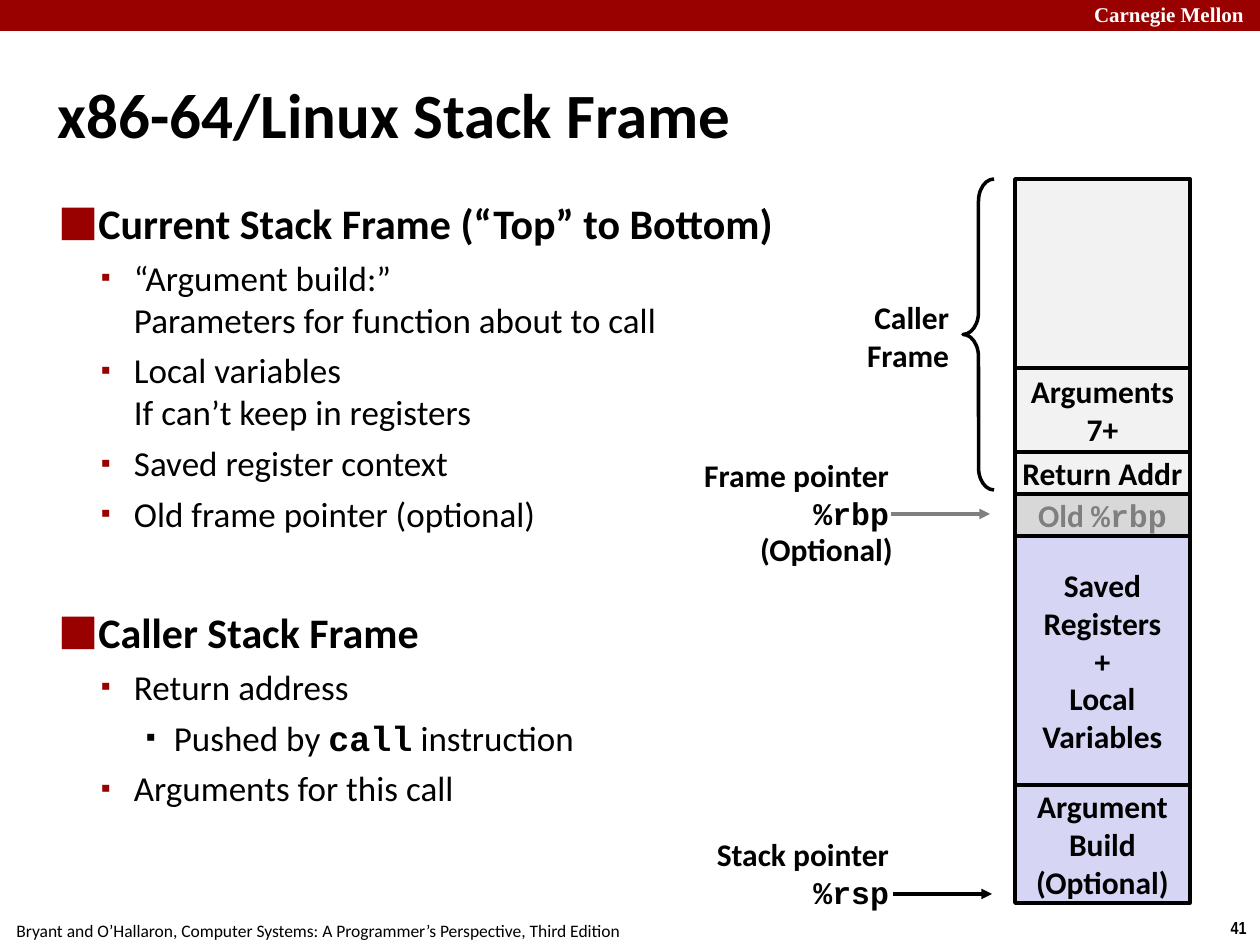
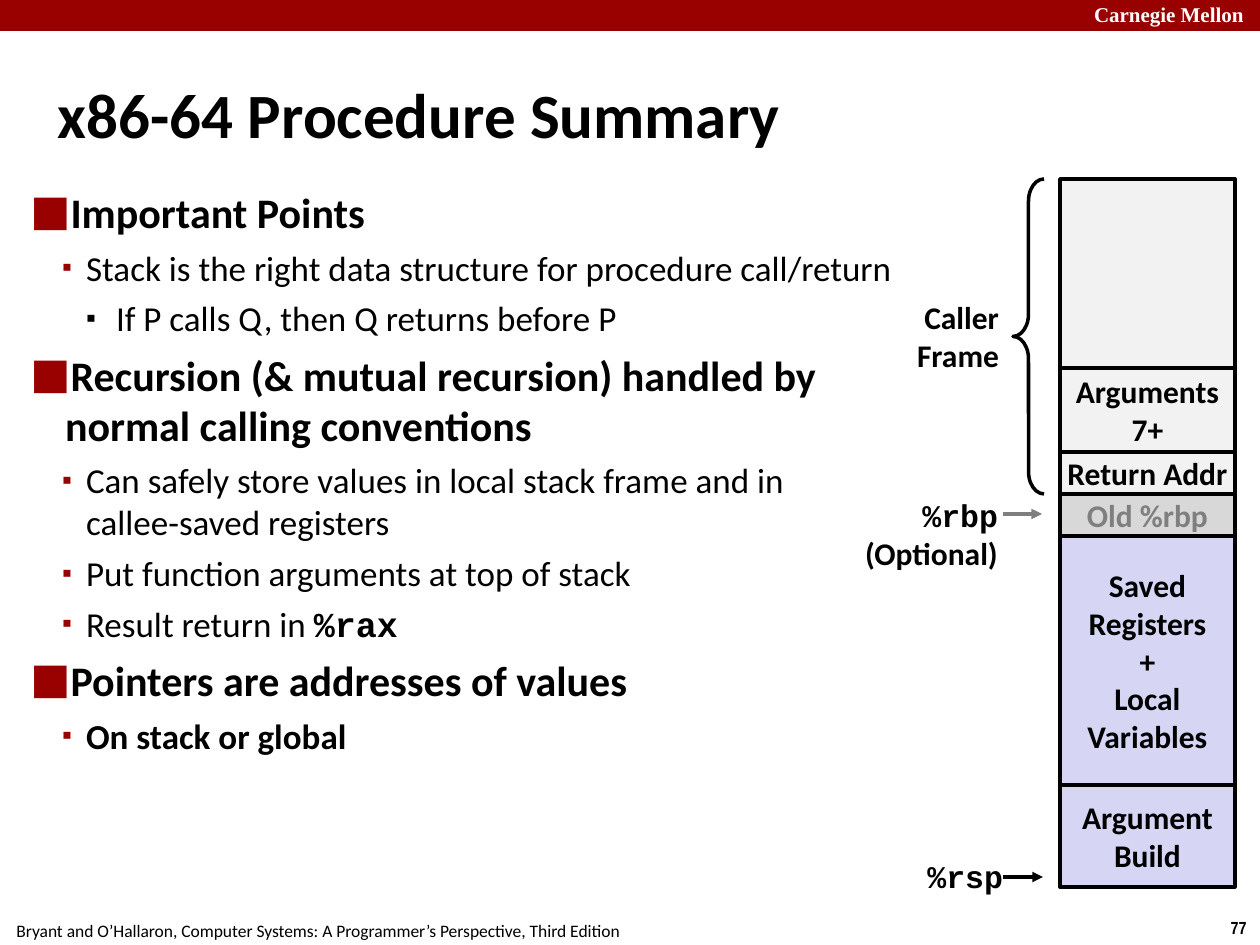
from dataclasses import dataclass

from lxml.etree import SubElement
from pptx import Presentation
from pptx.dml.color import RGBColor
from pptx.enum.shapes import MSO_CONNECTOR as Connector, MSO_SHAPE as Shape
from pptx.enum.text import MSO_ANCHOR as Anchor, PP_ALIGN as Align
from pptx.oxml.ns import qn
from pptx.util import Emu, Pt

PX = 914400 / 126


@dataclass(frozen=True)
class Theme:
    red: str = "990000"
    black: str = "000000"
    white: str = "FFFFFF"
    muted: str = "7F7F7F"
    caller: str = "F2F2F2"
    old_pointer: str = "D8D8D8"
    current: str = "D6D6F4"
    font: str = "Calibri"
    code_font: str = "Courier New"
    brand_font: str = "Times New Roman"
    bullet_font: str = "Times New Roman"
    number_font: str = "Arial Narrow"
    title: int = 36
    heading: int = 24
    body: int = 20
    diagram: int = 18
    brand: int = 12
    small: int = 10
    line: int = 2
    heading_bullet: int = 160
    body_bullet: int = 80


THEME = Theme()


def px(length):
    return Emu(round(length * PX))


def box_emu(box):
    return [px(length) for length in box]


def color(value):
    return RGBColor.from_string(value)


# Text: backticks mark code, a line feed marks a line break
def add_runs(paragraph, text, size, ink, bold, font):
    for part, segment in enumerate(text.split("`")):
        is_code = part % 2 == 1
        for row, line in enumerate(segment.split("\n")):
            if row:
                paragraph.add_line_break()
            if not line:
                continue
            run = paragraph.add_run()
            run.text = line
            run.font.size = Pt(size)
            run.font.bold = bold or is_code
            run.font.name = THEME.code_font if is_code else font
            run.font.color.rgb = color(ink)


def set_text(shape, *lines, size=THEME.diagram, ink=THEME.black, bold=True,
             font=THEME.font, align=Align.LEFT, anchor=Anchor.TOP, inset=(5, 5), wrap=True):
    frame = shape.text_frame
    frame.word_wrap = wrap
    frame.vertical_anchor = anchor
    frame.margin_left = frame.margin_right = px(inset[0])
    frame.margin_top = frame.margin_bottom = px(inset[1])
    for index, line in enumerate(lines):
        paragraph = frame.add_paragraph() if index else frame.paragraphs[0]
        paragraph.alignment = align
        add_runs(paragraph, line, size, ink, bold, font)
    return shape


def add_label(slide, box, *lines, **text_format):
    return set_text(slide.shapes.add_textbox(*box_emu(box)), *lines, **text_format)


def add_rectangle(slide, box, fill, outlined=True):
    shape = slide.shapes.add_shape(Shape.RECTANGLE, *box_emu(box))
    shape.shadow.inherit = False
    shape.fill.solid()
    shape.fill.fore_color.rgb = color(fill)
    if outlined:
        shape.line.color.rgb = color(THEME.black)
        shape.line.width = Pt(THEME.line)
    else:
        shape.line.fill.background()
    return shape


def set_indent(paragraph, left, hanging):
    properties = paragraph._p.get_or_add_pPr()
    properties.set("marL", str(px(left)))
    properties.set("indent", str(-px(hanging)))
    return properties


def add_bullet(properties, character, ink, percent):
    bullet_color = SubElement(properties, qn("a:buClr"))
    SubElement(bullet_color, qn("a:srgbClr"), val=ink)
    SubElement(properties, qn("a:buSzPct"), val=str(percent * 1000))
    SubElement(properties, qn("a:buFont"), typeface=THEME.bullet_font)
    SubElement(properties, qn("a:buChar"), char=character)


# Shared frame of every slide: band, footer, number and title
def add_slide(presentation, title, number):
    slide = presentation.slides.add_slide(presentation.slide_layouts[5])
    add_rectangle(slide, (0, 0, 1260, 31), THEME.red, outlined=False)
    add_label(slide, (1089, -3, 181, 35), "Carnegie Mellon", size=THEME.brand,
              ink=THEME.white, font=THEME.brand_font)
    add_label(slide, (-2, 914, 640, 34),
              "Bryant and O’Hallaron, Computer Systems: A Programmer’s Perspective, Third Edition",
              size=THEME.small, bold=False, align=Align.CENTER, inset=(13, 6), wrap=False)
    add_label(slide, (1217, 911, 43, 34), str(number), size=THEME.small,
              font=THEME.number_font, align=Align.CENTER, inset=(13, 6), wrap=False)
    placeholder = slide.shapes.title
    placeholder.left, placeholder.top, placeholder.width, placeholder.height = box_emu(
        (53, 35, 1155, 157))
    set_text(placeholder, title, size=THEME.title, anchor=Anchor.MIDDLE)
    set_indent(placeholder.text_frame.paragraphs[0], 16, 16)
    return slide


# Outline: items are (level, text, extra format); indents are (left, hanging) by level
def add_outline(slide, box, indents, items):
    shape = set_text(slide.shapes.add_textbox(*box_emu(box)))
    frame = shape.text_frame
    for index, (level, text, *options) in enumerate(items):
        extra = options[0] if options else {}
        paragraph = frame.add_paragraph() if index else frame.paragraphs[0]
        paragraph.level = level
        if index:
            paragraph.space_before = Pt(extra.get("space", 5 if level else 6))
        properties = set_indent(paragraph, *indents[level])
        if level:
            add_bullet(properties, "▪", THEME.black if level == 2 else THEME.red,
                       THEME.body_bullet)
        else:
            add_bullet(properties, "■", THEME.red, THEME.heading_bullet)
        add_runs(paragraph, text, THEME.body if level else THEME.heading, THEME.black,
                 extra.get("bold", level == 0), THEME.font)


# Stack column: cells follow one another downwards from the top
def add_stack(slide, left, top, old_pointer, argument_build, build_height):
    cells = [
        (189, THEME.caller, THEME.black, []),
        (84, THEME.caller, THEME.black, ["Arguments", "7+"]),
        (42, THEME.caller, THEME.black, ["Return Addr"]),
        (42, THEME.old_pointer, THEME.muted, [old_pointer]),
        (249, THEME.current, THEME.black, ["Saved", "Registers", "+", "Local", "Variables"]),
        (build_height, THEME.current, THEME.black, argument_build),
    ]
    for height, fill, ink, lines in cells:
        cell = add_rectangle(slide, (left, top, 175, height), fill)
        set_text(cell, *lines, ink=ink, align=Align.CENTER, anchor=Anchor.MIDDLE, inset=(0, 0))
        top += height


# Brace over the caller's cells, with its label to the left
def add_caller_frame(slide, left, top, height):
    brace = slide.shapes.add_shape(Shape.LEFT_BRACE, *box_emu((left, top, 31, height)))
    brace.shadow.inherit = False
    brace.fill.background()
    brace.line.color.rgb = color(THEME.black)
    brace.line.width = Pt(THEME.line)
    brace.adjustments[0] = 0.72
    add_label(slide, (left - 103, top + 114, 94, 87), "Caller", "Frame", align=Align.RIGHT)


# Pointer: a label and an arrow towards the stack
def add_pointer(slide, box, lines, start, end, y, ink=THEME.black, joined=False):
    label = add_label(slide, box, *lines, align=Align.RIGHT)
    arrow = slide.shapes.add_connector(Connector.STRAIGHT, px(start), px(y), px(end), px(y))
    if joined:
        arrow.begin_connect(label, 3)
    arrow.line.color.rgb = color(ink)
    arrow.line.width = Pt(THEME.line)
    SubElement(arrow.line._get_or_add_ln(), qn("a:tailEnd"), type="triangle")
    SubElement(arrow._element.spPr, qn("a:effectLst"))


def build_stack_frame(presentation):
    slide = add_slide(presentation, "x86-64/Linux Stack Frame", 41)
    add_outline(slide, (53, 192, 741, 748), [(35, 35), (76, 33), (116, 28)], [
        (0, "Current Stack Frame (“Top” to Bottom)"),
        (1, "“Argument build:”\nParameters for function about to call"),
        (1, "Local variables\nIf can’t keep in registers"),
        (1, "Saved register context"),
        (1, "Old frame pointer (optional)"),
        (0, "Caller Stack Frame", {"space": 41}),
        (1, "Return address"),
        (2, "Pushed by `call` instruction"),
        (1, "Arguments for this call"),
    ])
    add_stack(slide, 1015, 179, "Old `%rbp`", ["Argument", "Build", "(Optional)"], 118)
    add_caller_frame(slide, 963, 179, 311)
    add_pointer(slide, (679, 451, 215, 84), ["Frame pointer\n`%rbp`"], 891, 990, 514,
                ink=THEME.muted)
    add_label(slide, (683, 525, 215, 84), "(Optional)", align=Align.RIGHT)
    add_pointer(slide, (690, 830, 204, 84), ["Stack pointer", "`%rsp`"], 893, 992, 894)


def build_summary(presentation):
    slide = add_slide(presentation, "x86-64 Procedure Summary", 77)
    add_outline(slide, (25, 182, 898, 721), [(35, 35), (56, 24), (86, 30)], [
        (0, "Important Points"),
        (1, "Stack is the right data structure for procedure call/return"),
        (2, "If P calls Q, then Q returns before P"),
        (0, "Recursion (& mutual recursion) handled by normal calling conventions"),
        (1, "Can safely store values in local stack frame and in\ncallee-saved registers"),
        (1, "Put function arguments at top of stack"),
        (1, "Result return in `%rax`"),
        (0, "Pointers are addresses of values"),
        (1, "On stack or global", {"bold": True}),
    ])
    add_stack(slide, 1060, 179, "Old %rbp", ["Argument", "Build"], 102)
    add_caller_frame(slide, 1013, 179, 315)
    add_pointer(slide, (788, 491, 215, 46), ["`%rbp`", "(Optional)"], 1003, 1042, 514,
                ink=THEME.muted, joined=True)
    add_pointer(slide, (804, 852, 204, 46), ["`%rsp`"], 1003, 1043, 877)


def main():
    presentation = Presentation()
    presentation.slide_width, presentation.slide_height = px(1260), px(945)
    build_stack_frame(presentation)
    build_summary(presentation)
    presentation.save("out.pptx")


if __name__ == "__main__":
    main()
